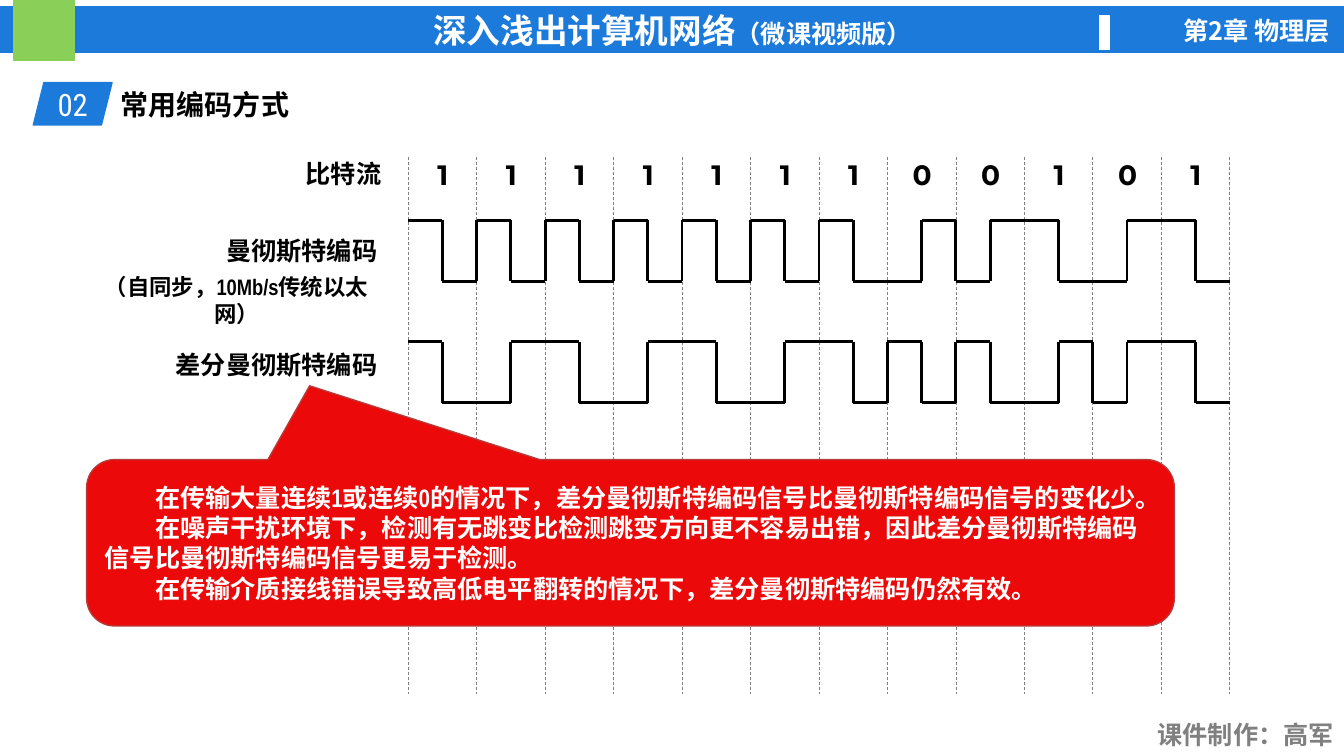
from pptx import Presentation
from pptx.dml.color import RGBColor
from pptx.enum.dml import MSO_LINE
from pptx.enum.shapes import MSO_CONNECTOR, MSO_SHAPE
from pptx.enum.text import MSO_ANCHOR, MSO_AUTO_SIZE, PP_ALIGN
from pptx.oxml.ns import qn
from pptx.util import Pt

LEFT, CENTER, RIGHT = PP_ALIGN.LEFT, PP_ALIGN.CENTER, PP_ALIGN.RIGHT
MIDDLE, TOP = MSO_ANCHOR.MIDDLE, MSO_ANCHOR.TOP
GROW = MSO_AUTO_SIZE.SHAPE_TO_FIT_TEXT
STRAIGHT = MSO_CONNECTOR.STRAIGHT
RECTANGLE = MSO_SHAPE.RECTANGLE
PARALLELOGRAM = MSO_SHAPE.PARALLELOGRAM
CALLOUT = MSO_SHAPE.ROUNDED_RECTANGULAR_CALLOUT
DASH = MSO_LINE.DASH

COLORS = {
    "blue": "1B7ADA", "green": "8ACF57", "red": "EB0909", "rim": "B73939",
    "white": "FFFFFF", "black": "000000", "gray": "808080",
}
NARROW, CJK = "Arial Narrow", "Noto Sans CJK SC"
DIGIT, NUMBER = "Montserrat", "Roboto Condensed"

BITS = "111111100101"
TITLE = [("深入浅出计算机网络", 24), ("（微课视频版）", 18)]
HEADER_SHAPES = [
    ((0, 5, 961, 32.5), "blue", TITLE),
    ((10.1, 0, 43.2, 43.2), "green", []),
    ((785.5, 11.5, 7.2, 23.8), "white", []),
]
LABELS = [
    ("第2章 物理层", (799.9, 7.2, 157, 29), RIGHT, 18, CJK, "white"),
    ("课件制作：高军", (816.5, 510.5, 143.3, 29), RIGHT, 18, NARROW, "gray"),
    ("常用编码方式", (79.2, 59, 437.8, 31.5), LEFT, 20, NARROW, "black"),
    ("比特流", (157, 109.4, 122.4, 29), RIGHT, 18, NARROW, "black"),
    ("曼彻斯特编码", (108.7, 164.2, 167.8, 29), RIGHT, 18, NARROW, "black"),
    ("（自同步，10Mb/s传统以太网）", (56.9, 191.5, 223.9, 26.6), CENTER, 16, NARROW, "black"),
    ("差分曼彻斯特编码", (108.7, 246.2, 167.8, 29), RIGHT, 18, NARROW, "black"),
]
REMARKS = [
    "在传输大量连续1或连续0的情况下，差分曼彻斯特编码信号比曼彻斯特编码信号的变化少。",
    "在噪声干扰环境下，检测有无跳变比检测跳变方向更不容易出错，因此差分曼彻斯特编码信号比曼彻斯特编码信号更易于检测。",
    "在传输介质接线错误导致高低电平翻转的情况下，差分曼彻斯特编码仍然有效。",
]
GRID_LEFT, GRID_TOP, GRID_BOTTOM, CELL = 291.6, 112.3, 495.4, 48.9
WAVE_HEIGHT = 43.6
MANCHESTER_TOP, DIFFERENTIAL_TOP = 157.4, 244.2


def color(name):
    return RGBColor.from_string(COLORS[name])


def add_text(para, text, size, font, tint, bold=True):
    span = para.add_run()
    span.text = text
    style = {"name": font, "size": Pt(size), "bold": bold}
    for key, value in style.items():
        setattr(span.font, key, value)
    span.font.color.rgb = color(tint)
    latin = span.font._element.find(qn("a:latin"))
    east = latin.makeelement(qn("a:ea"), {"typeface": CJK})
    latin.addnext(east)


def add_block(page, kind, place, fill, rim):
    block = page.shapes.add_shape(kind, *map(Pt, place))
    block.shadow.inherit = False
    block.fill.solid()
    block.fill.fore_color.rgb = color(fill)
    block.line.color.rgb = color(rim)
    block.line.width = Pt(1)
    block.text_frame.vertical_anchor = MIDDLE
    return block


def add_label(page, text, place, align, size, font, tint):
    box = page.shapes.add_textbox(*map(Pt, place))
    frame = box.text_frame
    style = {"word_wrap": True, "auto_size": GROW, "vertical_anchor": TOP}
    for key, value in style.items():
        setattr(frame, key, value)
    para = frame.paragraphs[0]
    para.alignment = align
    add_text(para, text, size, font, tint)


def add_line(page, start, end, tint, width, dash=None):
    line = page.shapes.add_connector(STRAIGHT, *map(Pt, start + end))
    line.line.color.rgb = color(tint)
    line.line.width = Pt(width)
    if dash:
        line.line.dash_style = dash
    properties = line._element.spPr
    properties.append(properties.makeelement(qn("a:effectLst"), {}))


def manchester(bits):
    return [half for bit in bits for half in ((1, 0) if bit == "1" else (0, 1))]


def differential(bits):
    levels, level = [], 1
    for bit in bits:
        if bit == "0":
            level = 1 - level
        levels += [level, 1 - level]
        level = 1 - level
    return levels


def add_wave(page, levels, top):
    heights = [top + WAVE_HEIGHT * (1 - level) for level in levels]
    for index, y in enumerate(heights):
        x = GRID_LEFT + index * CELL / 2
        if index and heights[index - 1] != y:
            add_line(page, (x, top), (x, top + WAVE_HEIGHT), "black", 2)
        add_line(page, (x, y), (x + CELL / 2, y), "black", 2)


def main():
    deck = Presentation()
    deck.slide_width, deck.slide_height = Pt(960), Pt(540)
    page = deck.slides.add_slide(deck.slide_layouts[6])

    for place, fill, spans in HEADER_SHAPES:
        block = add_block(page, RECTANGLE, place, fill, fill)
        para = block.text_frame.paragraphs[0]
        para.alignment = CENTER
        for text, size in spans:
            add_text(para, text, size, NARROW, "white")

    for index in range(len(BITS) + 1):
        x = GRID_LEFT + index * CELL
        add_line(page, (x, GRID_TOP), (x, GRID_BOTTOM), "gray", 0.5, DASH)

    badge = add_block(page, PARALLELOGRAM, (23.8, 59, 56.2, 30.2), "blue", "blue")
    badge.text_frame.word_wrap = False
    badge.text_frame.paragraphs[0].alignment = CENTER
    add_text(badge.text_frame.paragraphs[0], "02", 22, NUMBER, "white", False)

    add_wave(page, manchester(BITS), MANCHESTER_TOP)
    add_wave(page, differential(BITS), DIFFERENTIAL_TOP)

    for label in LABELS:
        add_label(page, *label)
    for index, bit in enumerate(BITS):
        place = (GRID_LEFT + index * CELL + 9.7, 108.7, 30.2, 31.5)
        add_label(page, bit, place, CENTER, 20, DIGIT, "black")

    callout = add_block(page, CALLOUT, (61.9, 328.3, 776.9, 118.8), "red", "rim")
    for index, value in enumerate((-0.295, -0.944, 0.167)):
        callout.adjustments[index] = value
    frame = callout.text_frame
    frame.word_wrap = True
    for index, remark in enumerate(REMARKS):
        para = frame.add_paragraph() if index else frame.paragraphs[0]
        para.alignment = LEFT
        para._p.get_or_add_pPr().set("indent", str(Pt(36)))
        add_text(para, remark, 18, NARROW, "white")

    deck.save("out.pptx")


if __name__ == "__main__":
    main()
